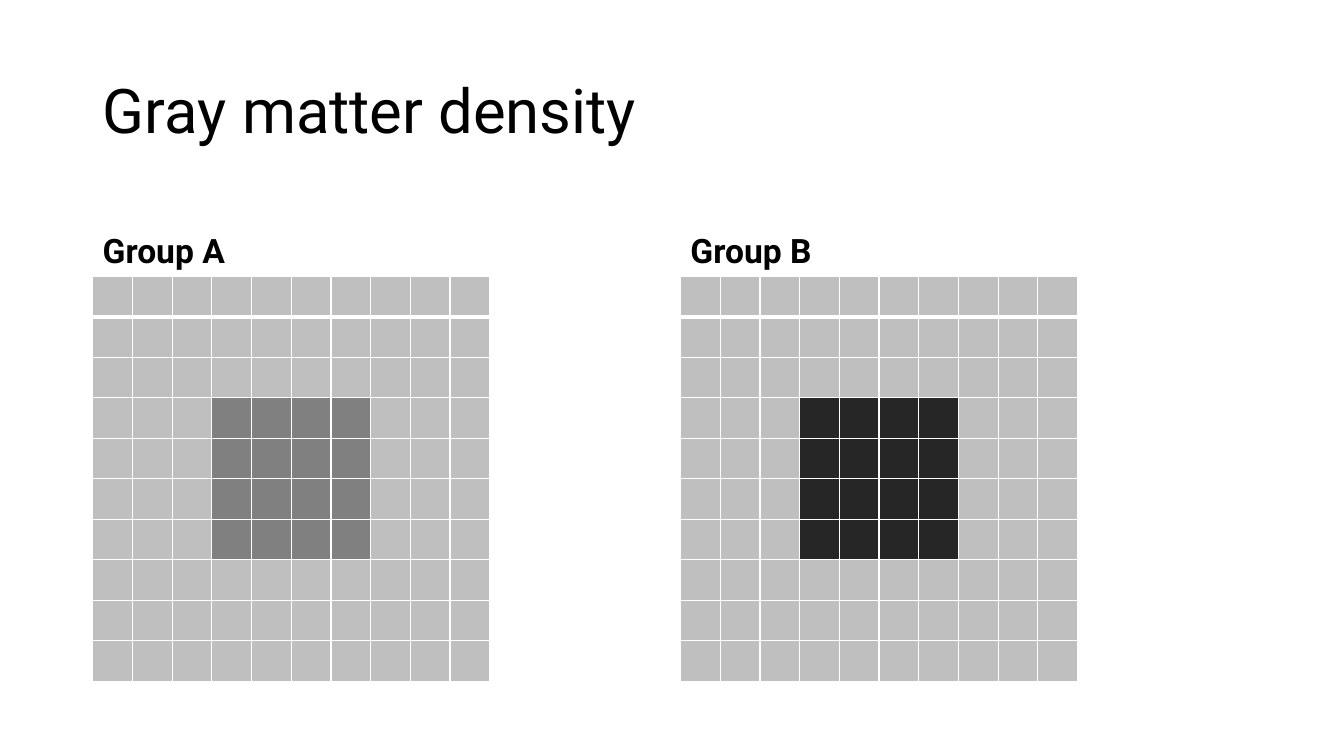
from dataclasses import dataclass

from lxml.etree import SubElement
from pptx import Presentation
from pptx.dml.color import RGBColor as RGB
from pptx.enum.text import MSO_ANCHOR as Anchor, MSO_AUTO_SIZE as AutoSize, PP_ALIGN as Align
from pptx.oxml.ns import qn
from pptx.util import Inches, Pt


@dataclass(frozen=True)
class Theme:
    font: str = "Roboto"
    text: str = "000000"
    title_size: int = 44
    label_size: int = 24
    tissue: str = "BFBFBF"
    grid_line: str = "FFFFFF"
    thin: int = 1
    thick: int = 3


THEME = Theme()
SLIDE_W, SLIDE_H = 13.33, 7.5
LEFT, TOP = 0.92, 0.4
TITLE_W, TITLE_H = 11.5, 1.45
LABEL_TOP, LABEL_W, LABEL_H = 1.84, 5.65, 0.9
GRID_TOP, GRID_W, GRID_H = LABEL_TOP + LABEL_H, 3.94, 4.02
VOXELS = 10
REGION = range(3, 7)
GROUPS = [("Group A", LEFT, "808080"), ("Group B", 6.75, "262626")]


def write_text(sp, text, size, anchor, bold=False):
    tf = sp.text_frame
    tf.word_wrap = True
    tf.auto_size = AutoSize.NONE
    tf.vertical_anchor = anchor
    p = tf.paragraphs[0]
    p.alignment = Align.LEFT
    p.line_spacing = 0.9
    r = p.add_run()
    r.text = text
    r.font.name = THEME.font
    r.font.size = Pt(size)
    r.font.bold = bold
    r.font.color.rgb = RGB.from_string(THEME.text)


def add_title(s, text):
    sp = s.shapes.title
    sp.left, sp.top = Inches(LEFT), Inches(TOP)
    sp.width, sp.height = Inches(TITLE_W), Inches(TITLE_H)
    write_text(sp, text, THEME.title_size, Anchor.MIDDLE)


def add_label(s, text, left):
    sp = s.shapes.add_textbox(Inches(left), Inches(LABEL_TOP), Inches(LABEL_W), Inches(LABEL_H))
    write_text(sp, text, THEME.label_size, Anchor.BOTTOM, bold=True)


def set_border(cell, side, width):
    """Draw one cell edge; side is L, R, T or B."""
    tc_pr = cell._tc.get_or_add_tcPr()
    ln = SubElement(tc_pr, qn(f"a:ln{side}"), w=str(Pt(width)))
    fill = SubElement(ln, qn("a:solidFill"))
    SubElement(fill, qn("a:srgbClr"), val=THEME.grid_line)


def format_voxel(cell, row, color):
    cell.margin_top = cell.margin_bottom = 0
    thick_side = {0: "B", 1: "T"}.get(row)
    for side in "LRTB":
        set_border(cell, side, THEME.thick if side == thick_side else THEME.thin)
    cell.fill.solid()
    cell.fill.fore_color.rgb = RGB.from_string(color)


def add_voxel_grid(s, left, region_color):
    """Add a square grid of voxels with a darker central region."""
    table = s.shapes.add_table(VOXELS, VOXELS, Inches(left), Inches(GRID_TOP),
                               Inches(GRID_W), Inches(GRID_H)).table
    table.first_row = table.horz_banding = False
    for row in range(VOXELS):
        for col in range(VOXELS):
            in_region = row in REGION and col in REGION
            format_voxel(table.cell(row, col), row, region_color if in_region else THEME.tissue)


def main():
    prs = Presentation()
    prs.slide_width, prs.slide_height = Inches(SLIDE_W), Inches(SLIDE_H)
    s = prs.slides.add_slide(prs.slide_layouts.get_by_name("Title Only"))
    add_title(s, "Gray matter density")
    for name, left, region_color in GROUPS:
        add_label(s, name, left)
        add_voxel_grid(s, left, region_color)
    prs.save("out.pptx")


if __name__ == "__main__":
    main()
